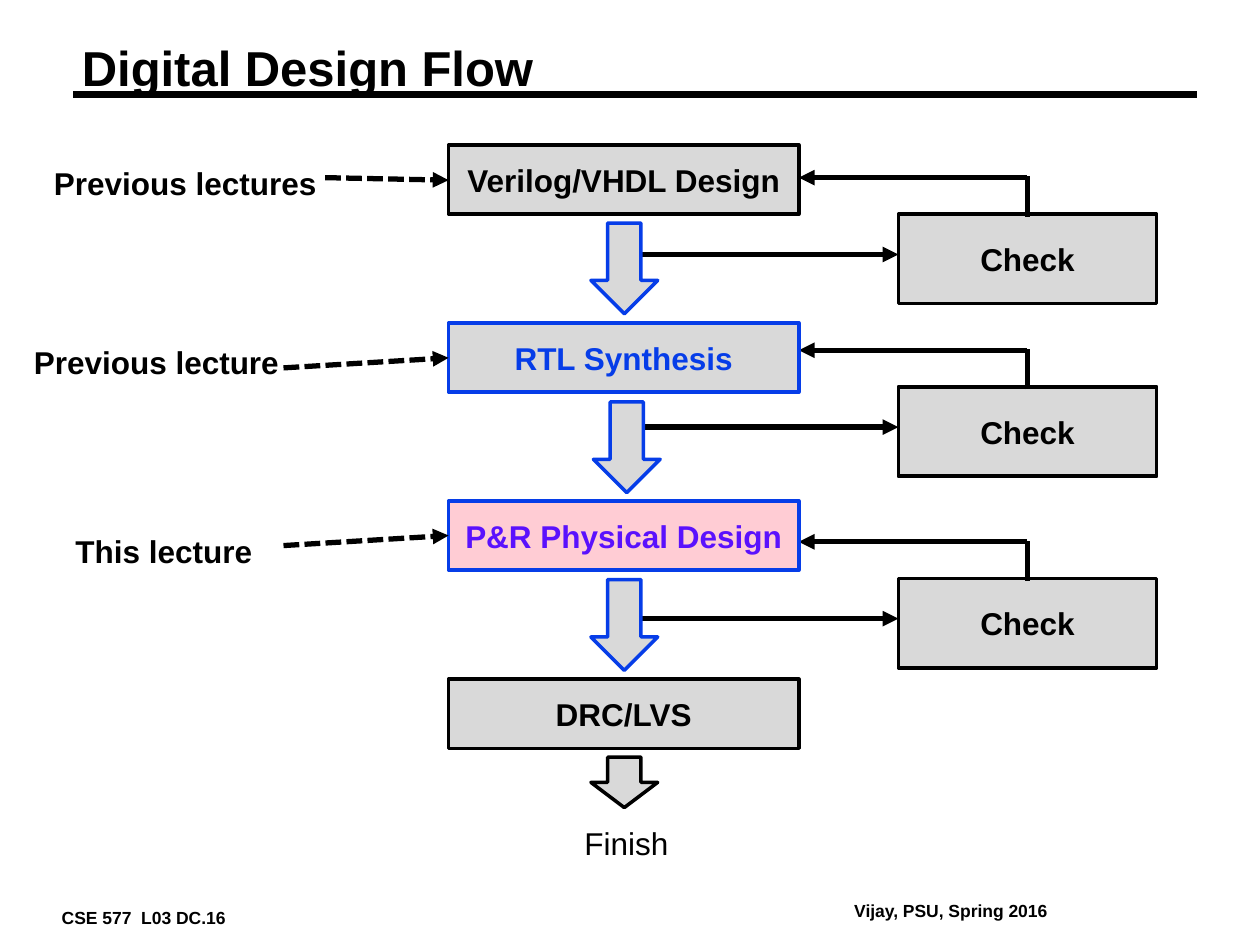
from dataclasses import dataclass

from lxml import etree
from pptx import Presentation
from pptx.dml.color import RGBColor
from pptx.enum import dml, shapes, text
from pptx.oxml import ns
from pptx.util import Inches, Pt


@dataclass(frozen=True)
class Theme:
    font: str = "Arial"
    black: str = "000000"
    gray: str = "D9D9D9"
    blue: str = "063DE8"
    pink: str = "FFCCD4"
    violet: str = "5A11FD"
    title_size: int = 28
    body_size: int = 18
    footer_size: int = 10
    outline: float = 2
    connector: float = 3
    rule: float = 4.5


THEME = Theme()

STEP_LEFT, STEP_TOP, STEP_PITCH = 3.56, 1.15, 1.413
STEP_WIDTH, STEP_HEIGHT = 2.78, 0.55
STEP_RIGHT = STEP_LEFT + STEP_WIDTH
CHECK_LEFT, CHECK_WIDTH, CHECK_HEIGHT = 7.13, 2.05, 0.71
CHECK_TOPS = (1.7, 3.07, 4.59)
ARROW_WIDTH = 0.53

# Label, fill, outline colour, text colour
STEPS = (
    ("Verilog/VHDL Design", THEME.gray, THEME.black, THEME.black),
    ("RTL Synthesis", THEME.gray, THEME.blue, THEME.blue),
    ("P&R Physical Design", THEME.pink, THEME.blue, THEME.violet),
    ("DRC/LVS", THEME.gray, THEME.black, THEME.black),
)
# Left, top, height, outline colour
DOWN_ARROWS = (
    (4.69, 1.77, 0.72, THEME.blue),
    (4.71, 3.19, 0.72, THEME.blue),
    (4.69, 4.6, 0.72, THEME.blue),
    (4.69, 6.01, 0.4, THEME.black),
)
# Label, its box, start and end of its pointer
LECTURES = (
    ("Previous lectures", (0.33, 1.25, 2.31, 0.4), (2.58, 1.41), (STEP_LEFT, 1.43)),
    ("Previous lecture", (0.17, 2.67, 2.15, 0.4), (2.25, 2.92), (STEP_LEFT, 2.84)),
    ("This lecture", (0.5, 4.17, 1.62, 0.4), (2.25, 4.33), (STEP_LEFT, 4.25)),
)
FOOTERS = (
    ("CSE 577  L03 DC.16", (0.42, 7.17, 1.47, 0.22)),
    ("Vijay, PSU, Spring 2016", (6.71, 7.11, 1.7, 0.22)),
)


def inches(*lengths):
    return [Inches(length) for length in lengths]


def write(shape, wording, size, color=THEME.black, bold=True):
    """Put one formatted paragraph into the shape and return it."""
    shape.text_frame.text = wording
    paragraph = shape.text_frame.paragraphs[0]
    font = paragraph.runs[0].font
    font.name, font.size, font.bold = THEME.font, Pt(size), bold
    font.color.rgb = RGBColor.from_string(color)
    return paragraph


def set_tight_margins(frame):
    frame.margin_left = frame.margin_right = Inches(0.07)
    frame.margin_top = frame.margin_bottom = Inches(0.03)


def add_title(slide, wording):
    title = slide.shapes.title
    title.left, title.top, title.width, title.height = inches(0.58, 0.33, 8.92, 0.46)
    paragraph = write(title, wording, THEME.title_size)
    paragraph.alignment = text.PP_ALIGN.LEFT
    paragraph.line_spacing = 0.87
    frame = title.text_frame
    frame.vertical_anchor = text.MSO_ANCHOR.TOP
    frame.auto_size = text.MSO_AUTO_SIZE.SHAPE_TO_FIT_TEXT
    set_tight_margins(frame)


def add_label(slide, wording, box, size=THEME.body_size, bold=True):
    label = slide.shapes.add_textbox(*inches(*box))
    write(label, wording, size, bold=bold)
    label.text_frame.word_wrap = False
    label.text_frame.auto_size = text.MSO_AUTO_SIZE.SHAPE_TO_FIT_TEXT
    return label


def add_outlined(slide, preset, box, fill, outline):
    shape = slide.shapes.add_shape(preset, *inches(*box))
    shape.shadow.inherit = False
    shape.fill.solid()
    shape.fill.fore_color.rgb = RGBColor.from_string(fill)
    shape.line.color.rgb = RGBColor.from_string(outline)
    shape.line.width = Pt(THEME.outline)
    return shape


def add_box(slide, wording, box, fill=THEME.gray, outline=THEME.black, color=THEME.black):
    shape = add_outlined(slide, shapes.MSO_SHAPE.RECTANGLE, box, fill, outline)
    write(shape, wording, THEME.body_size, color).alignment = text.PP_ALIGN.CENTER
    shape.text_frame.vertical_anchor = text.MSO_ANCHOR.MIDDLE


def add_line(slide, start, end, width=THEME.connector, arrow=False, dashed=False):
    line = slide.shapes.add_connector(
        shapes.MSO_CONNECTOR.STRAIGHT, *inches(*start, *end))
    line.line.color.rgb = RGBColor.from_string(THEME.black)
    line.line.width = Pt(width)
    if dashed:
        line.line.dash_style = dml.MSO_LINE.SQUARE_DOT
    properties = line._element.spPr
    if arrow:
        outline = properties.find(ns.qn("a:ln"))
        etree.SubElement(outline, ns.qn("a:tailEnd"), type="triangle")
    etree.SubElement(properties, ns.qn("a:effectLst"))


def add_check(slide, top):
    """Add a check box with its incoming arrow and its feedback loop."""
    middle = CHECK_LEFT + CHECK_WIDTH / 2
    add_box(slide, "Check", (CHECK_LEFT, top, CHECK_WIDTH, CHECK_HEIGHT))
    add_line(slide, (5.08, top + 0.32), (CHECK_LEFT, top + 0.32), arrow=True)
    add_line(slide, (middle, top - 0.29), (STEP_RIGHT, top - 0.29), arrow=True)
    add_line(slide, (middle, top + 0.02), (middle, top - 0.3))


def main():
    presentation = Presentation()
    presentation.slide_width, presentation.slide_height = inches(10, 7.5)
    slide = presentation.slides.add_slide(presentation.slide_layouts[5])

    for wording, box in FOOTERS:
        footer = add_label(slide, wording, box, THEME.footer_size)
        set_tight_margins(footer.text_frame)
    add_line(slide, (0.58, 0.75), (9.5, 0.75), THEME.rule)
    add_title(slide, "Digital Design Flow")

    for top in CHECK_TOPS:
        add_check(slide, top)
    for row, (wording, *colors) in enumerate(STEPS):
        top = STEP_TOP + row * STEP_PITCH
        add_box(slide, wording, (STEP_LEFT, top, STEP_WIDTH, STEP_HEIGHT), *colors)
    for left, top, height, outline in DOWN_ARROWS:
        add_outlined(slide, shapes.MSO_SHAPE.DOWN_ARROW,
                     (left, top, ARROW_WIDTH, height), THEME.gray, outline)
    for wording, box, start, end in LECTURES:
        add_label(slide, wording, box)
        add_line(slide, start, end, arrow=True, dashed=True)
    add_label(slide, "Finish", (4.54, 6.49, 0.88, 0.4), bold=False)

    presentation.save("out.pptx")


if __name__ == "__main__":
    main()
